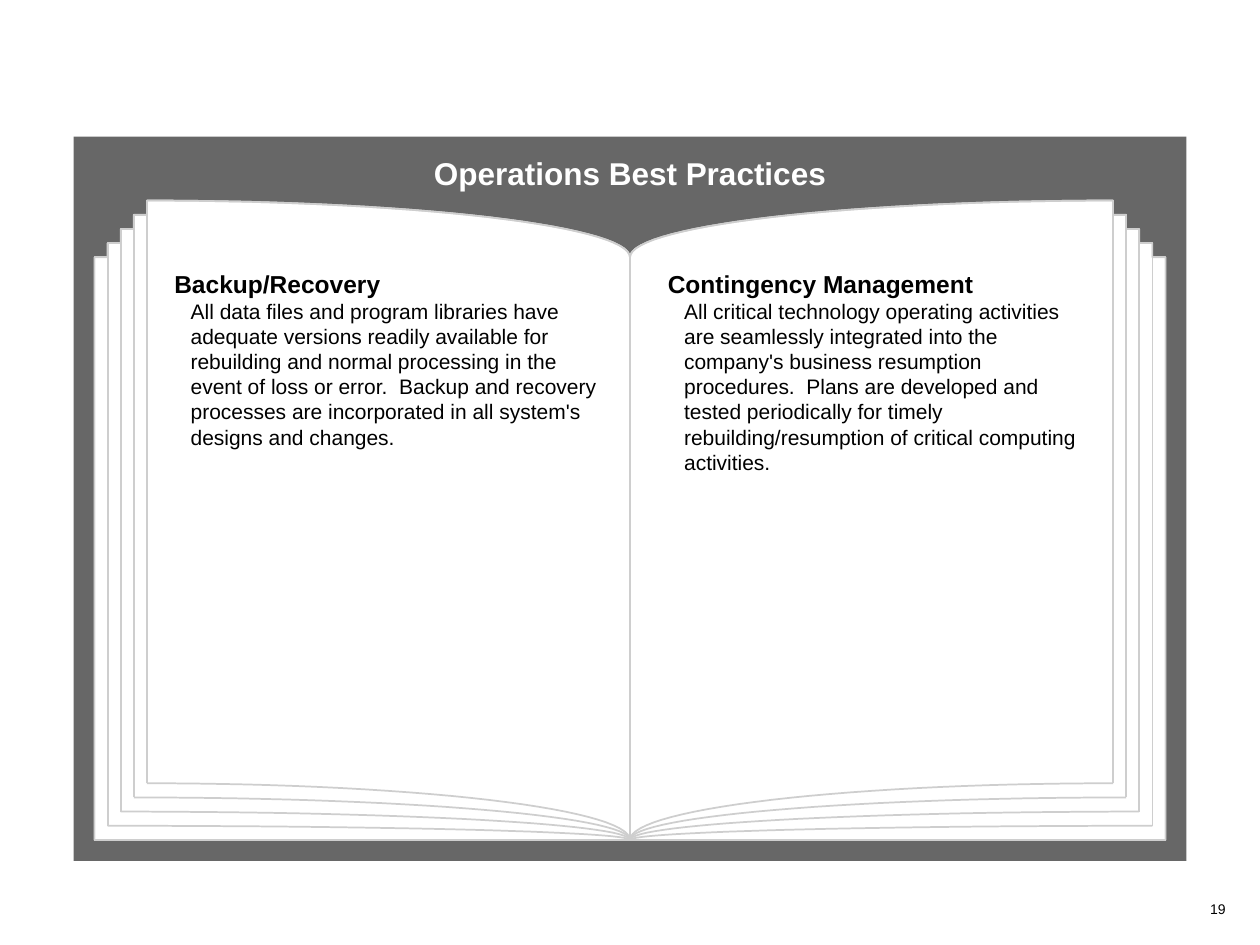
import math
from dataclasses import dataclass
from typing import NamedTuple

from pptx import Presentation
from pptx import util as u
from pptx.dml.color import RGBColor
from pptx.enum import shapes, text
from pptx.oxml.ns import qn

WIDTH, HEIGHT = u.Inches(10), u.Inches(7.5)
COLUMNS, ROWS = 120, 90


@dataclass(frozen=True)
class Theme:
    font: str = "Arial"
    cover: str = "676767"
    paper: str = "FFFFFF"
    paper_edge: str = "DADADA"
    page_line: str = "CECECE"
    ink: str = "000000"
    title_ink: str = "FFFFFF"
    title_size: int = 18
    heading_size: int = 14
    body_size: int = 12
    number_size: int = 8
    line_width: int = 1


class Box(NamedTuple):
    left: float
    top: float
    width: float
    height: float


class Point(NamedTuple):
    column: float
    row: float


class Practice(NamedTuple):
    box: Box
    heading: str
    body: str


@dataclass(frozen=True)
class Book:
    spine: float = 60
    top: float = 19.1
    page_width: float = 46
    page_height: float = 55.5
    step_out: float = 1.25
    step_down: float = 1.35
    steps: int = 4

    def edge(self, side: int, step: int) -> float:
        return self.spine + side * (self.page_width + step * self.step_out)

    def page_top(self, step: int) -> float:
        return self.top + step * self.step_down

    @property
    def spine_top(self) -> float:
        return self.page_top(self.steps)

    @property
    def bottom(self) -> float:
        return self.spine_top + self.page_height

    def curve(self, side: int, step: int, base: float) -> list[Point]:
        reach = self.edge(side, step) - self.spine
        rise = (self.steps - step) * self.step_down
        angles = [math.radians(degrees) for degrees in range(0, 91, 3)]
        return [Point(self.spine + reach * (1 - math.cos(angle)), base - rise * math.sin(angle))
                for angle in angles]

    def step_edge(self, side: int, step: int) -> list[Point]:
        outer, top = self.edge(side, step), self.page_top(step)
        return [Point(self.edge(side, step - 1), top), Point(outer, top),
                Point(outer, top + self.page_height)]

    def stack(self, side: int) -> list[Point]:
        points = self.curve(side, 0, self.spine_top)
        for step in range(1, self.steps + 1):
            points += self.step_edge(side, step)[:2]
        return points + [Point(self.edge(side, self.steps), self.bottom),
                         Point(self.spine, self.bottom)]


THEME = Theme()
BOOK = Book()
COVER = Box(7, 13, 106, 69)
TITLE = Box(7, 13, 106, 7)
NUMBER = Box(114, 85.2, 4, 2.8)
PRACTICES = [
    Practice(Box(16, 25, 42, 49), "Backup/Recovery",
             "All data files and program libraries have adequate versions readily available "
             "for rebuilding and normal processing in the event of loss or error.  Backup and "
             "recovery processes are incorporated in all system's designs and changes."),
    Practice(Box(63, 25, 41, 49), "Contingency Management",
             "All critical technology operating activities are seamlessly integrated into the "
             "company's business resumption procedures.  Plans are developed and tested "
             "periodically for timely rebuilding/resumption of critical computing activities."),
]


def across(columns: float) -> int:
    return round(columns * WIDTH / COLUMNS)


def down(rows: float) -> int:
    return round(rows * HEIGHT / ROWS)


def place(box: Box) -> tuple[int, int, int, int]:
    return across(box.left), down(box.top), across(box.width), down(box.height)


def color(value: str) -> RGBColor:
    return RGBColor.from_string(value)


def draw_outline(slide, points: list[Point], line: str, fill: str | None = None) -> None:
    corners = [(across(point.column), down(point.row)) for point in points]
    builder = slide.shapes.build_freeform(*corners[0])
    builder.add_line_segments(corners[1:], close=fill is not None)
    shape = builder.convert_to_shape()
    shape.shadow.inherit = False
    if fill:
        shape.fill.solid()
        shape.fill.fore_color.rgb = color(fill)
    else:
        shape.fill.background()
    shape.line.color.rgb = color(line)
    shape.line.width = u.Pt(THEME.line_width)


def draw_line(slide, start: Point, end: Point) -> None:
    connector = slide.shapes.add_connector(
        shapes.MSO_CONNECTOR.STRAIGHT, across(start.column), down(start.row),
        across(end.column), down(end.row))
    connector.line.color.rgb = color(THEME.page_line)
    connector.line.width = u.Pt(THEME.line_width)
    properties = connector._element.spPr
    properties.append(properties.makeelement(qn("a:effectLst"), {}))


def add_frame(slide, box: Box, inset: float = 0.05, anchor=text.MSO_ANCHOR.TOP):
    frame = slide.shapes.add_textbox(*place(box)).text_frame
    frame.word_wrap = True
    frame.vertical_anchor = anchor
    frame.margin_left = frame.margin_right = u.Inches(inset)
    frame.margin_top = frame.margin_bottom = u.Inches(inset)
    return frame


def write(paragraph, words: str, *, size: int, ink: str = THEME.ink, bold: bool = False,
          align=text.PP_ALIGN.LEFT, indent: float = 0) -> None:
    paragraph.alignment = align
    if indent:
        paragraph.level = 1
        properties = paragraph._p.get_or_add_pPr()
        properties.set("marL", str(u.Inches(indent)))
        properties.set("indent", "0")
    run = paragraph.add_run()
    run.text = words
    run.font.name = THEME.font
    run.font.size = u.Pt(size)
    run.font.bold = bold
    run.font.color.rgb = color(ink)


def draw_cover(slide) -> None:
    shape = slide.shapes.add_shape(shapes.MSO_SHAPE.RECTANGLE, *place(COVER))
    shape.shadow.inherit = False
    shape.fill.solid()
    shape.fill.fore_color.rgb = color(THEME.cover)
    shape.line.fill.background()


def draw_book(slide, book: Book) -> None:
    for side in (1, -1):
        draw_outline(slide, book.stack(side), THEME.paper_edge, THEME.paper)
    left, right = book.edge(-1, book.steps), book.edge(1, book.steps)
    draw_outline(slide, [Point(book.edge(-1, book.steps - 1), book.spine_top),
                         Point(left, book.spine_top), Point(left, book.bottom),
                         Point(right, book.bottom), Point(right, book.spine_top),
                         Point(book.edge(1, book.steps - 1), book.spine_top)],
                 THEME.page_line)
    for side in (-1, 1):
        for step in range(book.steps):
            draw_outline(slide, book.curve(side, step, book.bottom), THEME.page_line)
        edge = book.edge(side, 0)
        draw_line(slide, Point(edge, book.top), Point(edge, book.top + book.page_height))
        draw_outline(slide, book.curve(side, 0, book.spine_top), THEME.page_line)
        for step in range(1, book.steps):
            draw_outline(slide, book.step_edge(side, step), THEME.page_line)
    draw_line(slide, Point(book.spine, book.spine_top), Point(book.spine, book.bottom))


def main() -> None:
    presentation = Presentation()
    presentation.slide_width, presentation.slide_height = WIDTH, HEIGHT
    slide = presentation.slides.add_slide(presentation.slide_layouts[6])
    draw_cover(slide)
    draw_book(slide, BOOK)
    for practice in PRACTICES:
        frame = add_frame(slide, practice.box)
        write(frame.paragraphs[0], practice.heading, size=THEME.heading_size, bold=True)
        write(frame.add_paragraph(), practice.body, size=THEME.body_size, indent=0.13)
    title = add_frame(slide, TITLE, inset=0, anchor=text.MSO_ANCHOR.MIDDLE)
    write(title.paragraphs[0], "Operations Best Practices", size=THEME.title_size,
          ink=THEME.title_ink, bold=True, align=text.PP_ALIGN.CENTER)
    number = add_frame(slide, NUMBER)
    write(number.paragraphs[0], "19", size=THEME.number_size, align=text.PP_ALIGN.CENTER)
    presentation.save("out.pptx")


if __name__ == "__main__":
    main()
